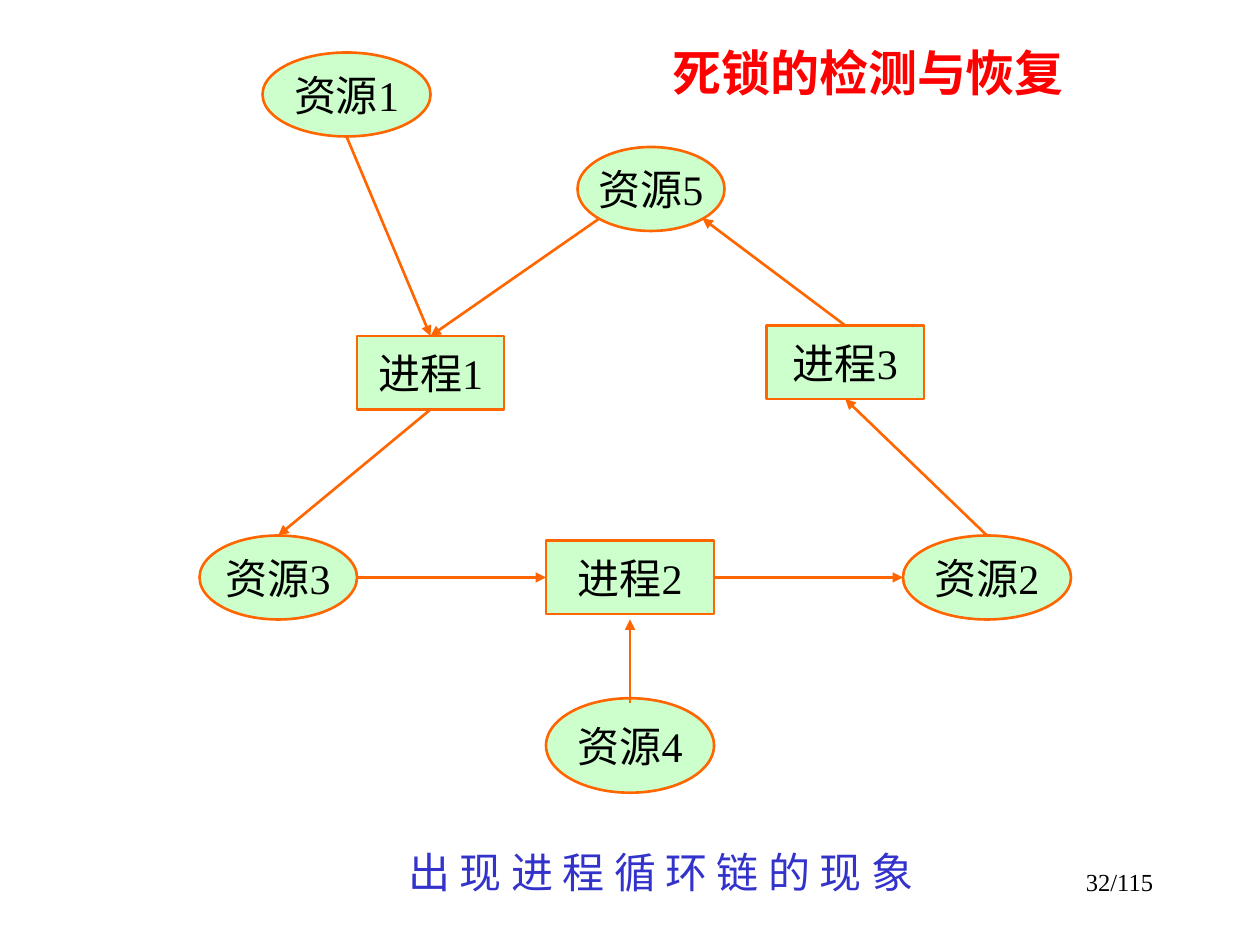
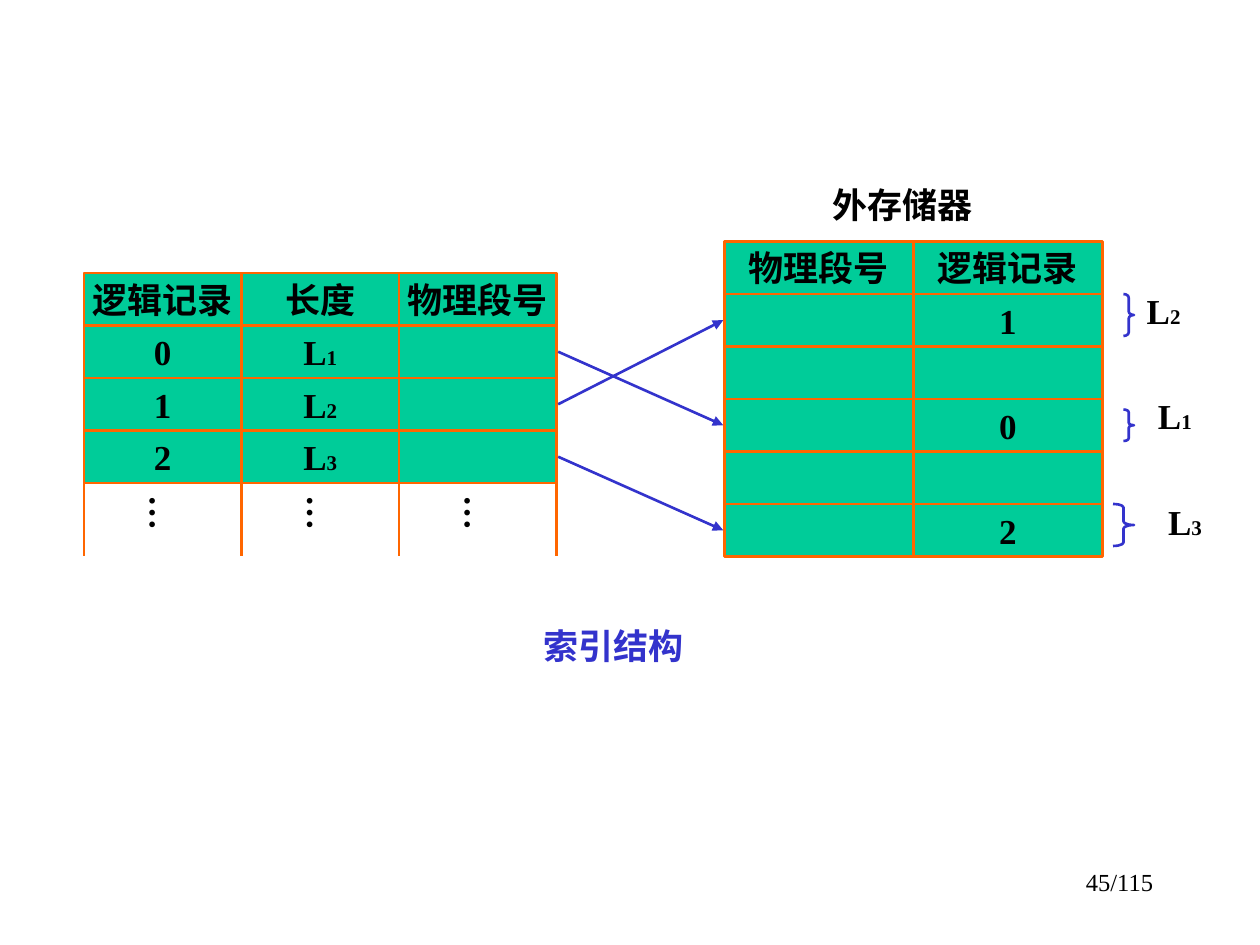
from lxml import etree
from pptx import Presentation
from pptx.dml.color import RGBColor
from pptx.enum.shapes import MSO_CONNECTOR, MSO_SHAPE
from pptx.enum.text import MSO_ANCHOR, PP_ALIGN
from pptx.oxml.ns import qn
from pptx.util import Inches, Pt

LINE = MSO_CONNECTOR.STRAIGHT
RECT, OVAL, BRACE = MSO_SHAPE.RECTANGLE, MSO_SHAPE.OVAL, MSO_SHAPE.RIGHT_BRACE
MIDDLE = MSO_ANCHOR.MIDDLE
CENTER, RIGHT = PP_ALIGN.CENTER, PP_ALIGN.RIGHT

FONT = "Times New Roman"
WEIGHT = 1.5
COLORS = {
    "black": "000000",
    "red": "FF0000",
    "blue": "3333CC",
    "orange": "FF6600",
    "mint": "CCFFCC",
    "green": "00CC99",
}
ROW = 5 / 12  # height of a record row, inches


def color(name):
    return RGBColor.from_string(COLORS[name])


def units(*steps):
    """Turn steps of the drawing grid, twelve to the inch, into inches."""
    return tuple(step / 12 for step in steps)


def write(frame, text, size, ink="black", bold=False, align=CENTER):
    """Fill a text frame; the part after "_" is set small."""
    para = frame.paragraphs[0]
    main, _, sub = text.partition("_")
    para.text = main
    para.alignment = align
    if sub:
        para.add_run().text = sub
    for run, points in zip(para.runs, (size, 12)):
        run.font.name = FONT
        run.font.size = Pt(points)
        run.font.bold = bold
        run.font.color.rgb = color(ink)


def add_text(slide, box, text, size, wrap=True, turn=0, **style):
    label = slide.shapes.add_textbox(*map(Inches, box))
    label.rotation = turn
    label.text_frame.word_wrap = wrap
    write(label.text_frame, text, size, **style)


def add_page(deck, number):
    slide = deck.slides.add_slide(deck.slide_layouts[6])
    add_text(slide, (7.17, 6.83, 2.08, 0.5), f"{number}/115", 14, align=RIGHT)
    return slide


def add_shape(slide, kind, box, ink):
    shape = slide.shapes.add_shape(kind, *map(Inches, box))
    shape.shadow.inherit = False
    shape.line.color.rgb = color(ink)
    shape.line.width = Pt(WEIGHT)
    return shape


def add_node(slide, kind, box, fill, text, size, bold=False):
    node = add_shape(slide, kind, box, "orange")
    node.fill.solid()
    node.fill.fore_color.rgb = color(fill)
    node.text_frame.word_wrap = False
    node.text_frame.vertical_anchor = MIDDLE
    write(node.text_frame, text, size, bold=bold)


def add_brace(slide, box):
    brace = add_shape(slide, BRACE, box, "blue")
    brace.fill.background()
    brace.adjustments[0] = box[3] / box[2] / 12


def add_line(slide, start, end, ink="orange", arrow=False):
    link = slide.shapes.add_connector(LINE, *map(Inches, (*start, *end)))
    link.line.color.rgb = color(ink)
    link.line.width = Pt(WEIGHT)
    if arrow:
        etree.SubElement(link.line._get_or_add_ln(), qn("a:tailEnd"), type="triangle")
    etree.SubElement(link._element.spPr, qn("a:effectLst"))


def add_blocks(slide, left, top, width, rows):
    """Stack the record blocks of a storage diagram."""
    for r, row in enumerate(rows):
        for c, text in enumerate(row):
            box = (left + c * width, top + r * ROW, width, ROW)
            add_node(slide, RECT, box, "green", text, 20, bold=True)


def port(box, across, down):
    """Point at the given share of a box's width and height."""
    left, top, width, height = box
    return left + width * across, top + height * down


def draw_cycle(deck):
    slide = add_page(deck, 32)
    add_text(slide, (5.08, 0.29, 3.62, 0.57), "死锁的检测与恢复", 28,
             ink="red", bold=True)
    add_text(slide, (3.08, 6.67, 4.33, 0.5), "出 现 进 程 循 环 链 的 现 象", 24,
             ink="blue")

    # Processes and resources
    tasks = {
        1: units(34, 32, 14, 7),
        2: units(52, 51.5, 16, 7),
        3: units(73, 31, 15, 7),
    }
    stores = {
        1: units(25, 5, 16, 8),
        2: units(86, 51, 16, 8),
        3: units(19, 51, 15, 8),
        4: units(52, 66.5, 16, 9),
        5: units(55, 14, 14, 8),
    }
    for kind, name, nodes in ((RECT, "进程", tasks), (OVAL, "资源", stores)):
        for number, box in nodes.items():
            add_node(slide, kind, box, "mint", f"{name}{number}", 24)

    # Arrows between them
    top, base, west, east = (0.5, 0), (0.5, 1), (0, 0.5), (1, 0.5)
    links = [
        (stores[1], base, tasks[1], top),
        (stores[5], (0.15, 0.85), tasks[1], top),
        (tasks[1], base, stores[3], top),
        (stores[3], east, tasks[2], west),
        (tasks[2], east, stores[2], west),
        (stores[2], top, tasks[3], base),
        (tasks[3], top, stores[5], (0.85, 0.85)),
    ]
    for origin, leave, target, reach in links:
        add_line(slide, port(origin, *leave), port(target, *reach), arrow=True)
    add_line(slide, units(60, 67), units(60, 59), arrow=True)


def draw_index(deck):
    slide = add_page(deck, 45)
    add_text(slide, (6.33, 1.41, 1.67, 0.44), "外存储器", 20, bold=True)
    add_text(slide, (3.58, 4.91, 2.58, 0.44), "索引结构", 20, ink="blue", bold=True)

    # Index records, open at the foot
    left, top, width = units(8, 26, 15)
    add_blocks(slide, left, top, width, [
        ("逻辑记录", "长度", "物理段号"),
        ("0", "L_1", ""),
        ("1", "L_2", ""),
        ("2", "L_3", ""),
    ])
    foot = top + 4 * ROW
    for col in range(4):
        side = left + col * width
        add_line(slide, (side, foot), (side, foot + 0.58))
        if col < 3:
            add_text(slide, (side + 0.39, 3.85, 0.48, 0.44), "…", 20,
                     wrap=False, turn=90, bold=True)

    # Storage segments
    base, head, span = units(69, 23, 18)
    add_blocks(slide, base, head, span, [
        ("物理段号", "逻辑记录"),
        ("", "1"),
        ("", ""),
        ("", "0"),
        ("", ""),
        ("", "2"),
    ])

    # Arrows from index records to segments
    for row, slot in ((1, 3), (2, 1), (3, 5)):
        start = (4.43, top + (row + 0.5) * ROW)
        end = (5.74, head + (slot + 0.5) * ROW)
        add_line(slide, start, end, ink="blue", arrow=True)

    # Braces with record lengths
    marks = [
        ("L_2", units(107, 28, 1, 4), (9, 2.25)),
        ("L_1", units(107, 39, 1, 3), (9.09, 3.08)),
        ("L_3", units(106, 48, 2, 4), (9.17, 3.92)),
    ]
    for text, box, spot in marks:
        add_brace(slide, box)
        add_text(slide, (*spot, 0.47, 0.44), text, 20, wrap=False, bold=True)


def main():
    deck = Presentation()
    deck.slide_width, deck.slide_height = Inches(10), Inches(7.5)
    draw_cycle(deck)
    draw_index(deck)
    deck.save("out.pptx")


if __name__ == "__main__":
    main()
